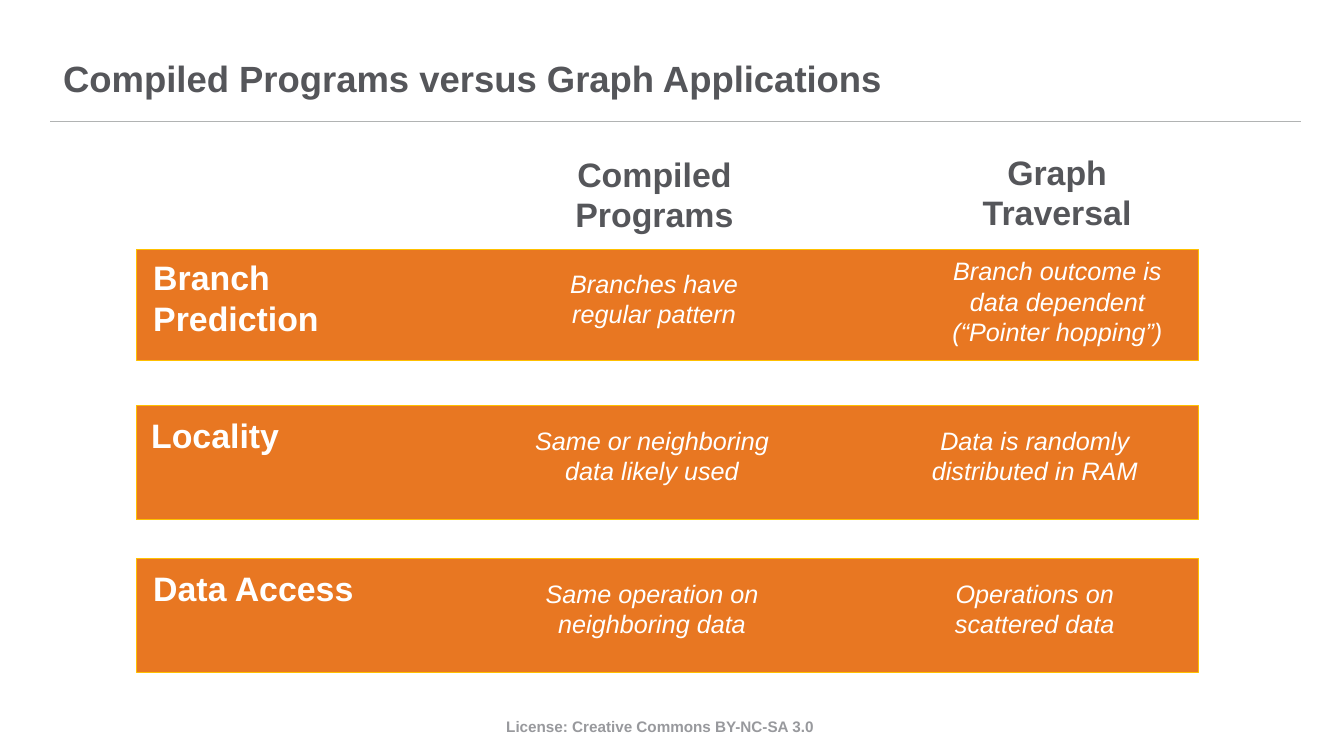
"""Build the slide comparing compiled programs with graph applications."""
from dataclasses import dataclass

from lxml import etree
from pptx import Presentation
from pptx import util as u
from pptx.dml.color import RGBColor
from pptx.enum import shapes, text
from pptx.oxml.ns import qn

PX = 9144
ORANGE = RGBColor(0xE8, 0x77, 0x22)
GOLD = RGBColor(0xFF, 0xC0, 0x00)
WHITE = RGBColor(0xFF, 0xFF, 0xFF)
DARK = RGBColor(0x55, 0x56, 0x5A)
GREY = RGBColor(0x98, 0x99, 0x9D)
RULE = RGBColor(0xB1, 0xB3, 0xB3)

CENTER = text.PP_ALIGN.CENTER
LEFT = text.PP_ALIGN.LEFT
TITLE = {"size": u.Pt(38.2), "bold": True, "color": DARK}
HEADER = {"size": u.Pt(35.5), "bold": True, "color": DARK}
LABEL = {**HEADER, "color": WHITE}
CELL = {"size": u.Pt(26.4), "italic": True, "color": WHITE}
FOOTER = {"size": u.Pt(16), "bold": True, "color": GREY}


@dataclass
class Box:
    """A text with its place in px."""
    wording: str
    x: int
    y: int
    w: int
    h: int


@dataclass
class Row:
    """An orange band with its label and two cells."""
    y: int
    h: int
    label: Box
    compiled: Box
    graph: Box


HEADERS = [
    Box("Compiled Programs", 748, 223, 409, 119),
    Box("Graph\nTraversal", 1334, 220, 409, 119),
]
ROWS = [
    Row(363, 161,
        Box("Branch Prediction", 223, 374, 304, 119),
        Box("Branches have\nregular pattern", 780, 390, 344, 89),
        Box("Branch outcome is data dependent (“Pointer hopping”)", 1367, 372, 344, 133)),
    Row(590, 166,
        Box("Locality", 220, 604, 304, 60),
        Box("Same or neighboring data likely used", 777, 619, 344, 89),
        Box("Data is randomly distributed in RAM", 1334, 619, 344, 89)),
    Row(812, 166,
        Box("Data Access", 223, 826, 304, 60),
        Box("Same operation on neighboring data", 777, 841, 344, 89),
        Box("Operations on scattered data", 1334, 841, 344, 89)),
]


def add_text(s, box: Box, style: dict, align=CENTER, anchor=text.MSO_ANCHOR.TOP, spacing: float = 1.0) -> None:
    """Draw a text box without margins, one paragraph per line."""
    sp = s.shapes.add_textbox(box.x * PX, box.y * PX, box.w * PX, box.h * PX)
    tf = sp.text_frame
    frame = {"word_wrap": True, "vertical_anchor": anchor, "margin_left": 0,
             "margin_right": 0, "margin_top": 0, "margin_bottom": 0}
    for name, value in frame.items():
        setattr(tf, name, value)
    for i, line in enumerate(box.wording.split("\n")):
        p = tf.add_paragraph() if i else tf.paragraphs[0]
        p.alignment, p.line_spacing = align, spacing
        r = p.add_run()
        r.text = line
        r.font.name = "Arial"
        for name, value in style.items():
            if name == "color":
                r.font.color.rgb = value
            else:
                setattr(r.font, name, value)


def add_row(s, row: Row) -> None:
    """Draw one band with its texts."""
    sp = s.shapes.add_shape(shapes.MSO_SHAPE.RECTANGLE, 198 * PX, row.y * PX, 1546 * PX, row.h * PX)
    sp.shadow.inherit = False
    sp.fill.solid()
    sp.fill.fore_color.rgb = ORANGE
    sp.line.color.rgb = GOLD
    sp.line.width = u.Pt(1)
    add_text(s, row.label, LABEL, LEFT)
    add_text(s, row.compiled, CELL)
    add_text(s, row.graph, CELL)


def add_rule(s, x1: int, x2: int, y: int) -> None:
    """Draw the thin line under the title."""
    line = s.shapes.add_connector(shapes.MSO_CONNECTOR.STRAIGHT, x1 * PX, y * PX, x2 * PX, y * PX)
    line.line.color.rgb = RULE
    line.line.width = u.Pt(1)
    etree.SubElement(line._element.spPr, qn("a:effectLst"))


def main() -> None:
    """Build and save the slide."""
    prs = Presentation()
    prs.slide_width, prs.slide_height = 1956 * PX, 1100 * PX
    s = prs.slides.add_slide(prs.slide_layouts[6])
    add_rule(s, 73, 1894, 177)
    add_text(s, Box("License: Creative Commons BY-NC-SA 3.0", 575, 1044, 771, 27), FOOTER)
    add_text(s, Box("Compiled Programs versus Graph Applications", 92, 48, 1766, 147),
             TITLE, LEFT, text.MSO_ANCHOR.MIDDLE, 0.7)
    for header in HEADERS:
        add_text(s, header, HEADER)
    for row in ROWS:
        add_row(s, row)
    prs.save("out.pptx")


if __name__ == "__main__":
    main()
